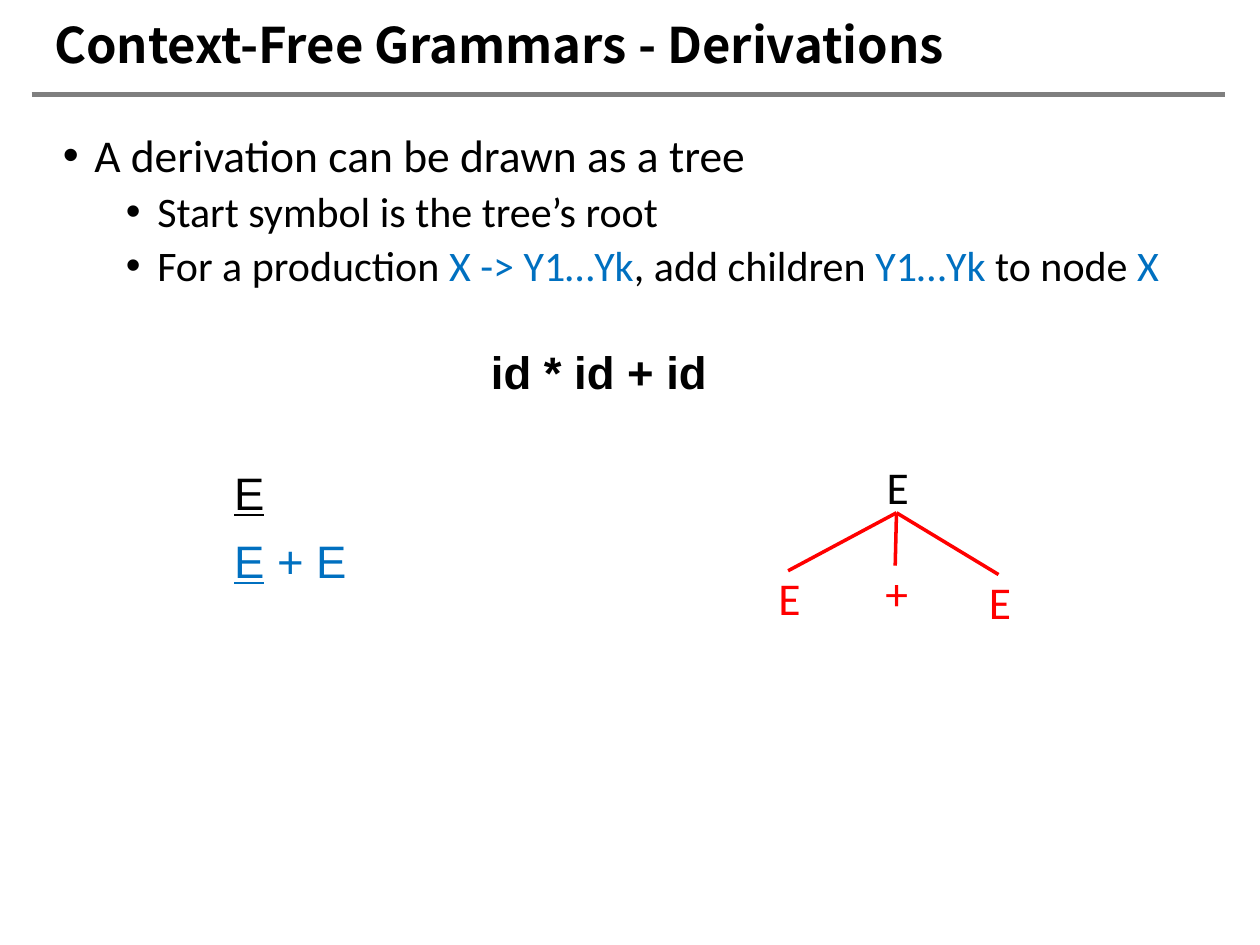
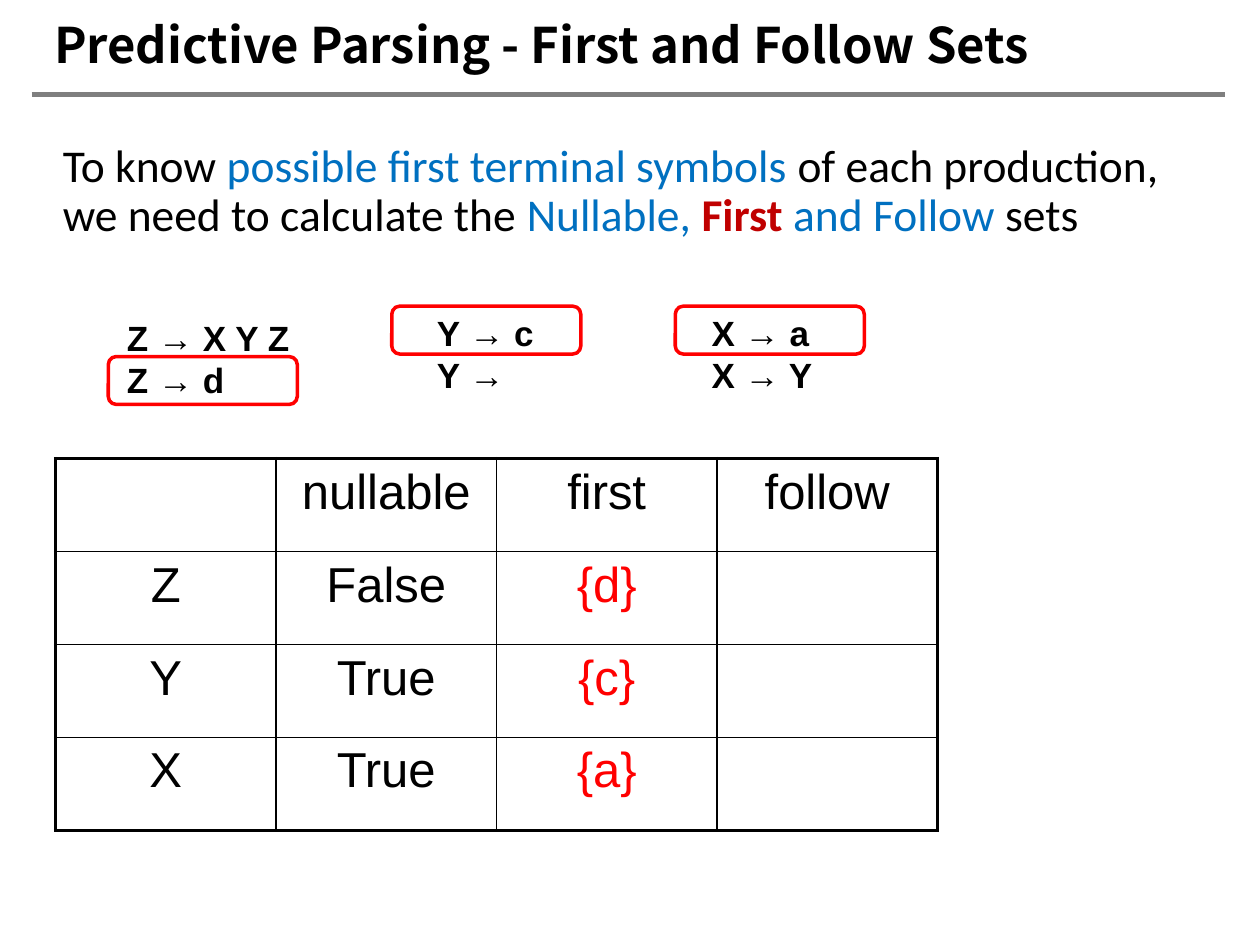
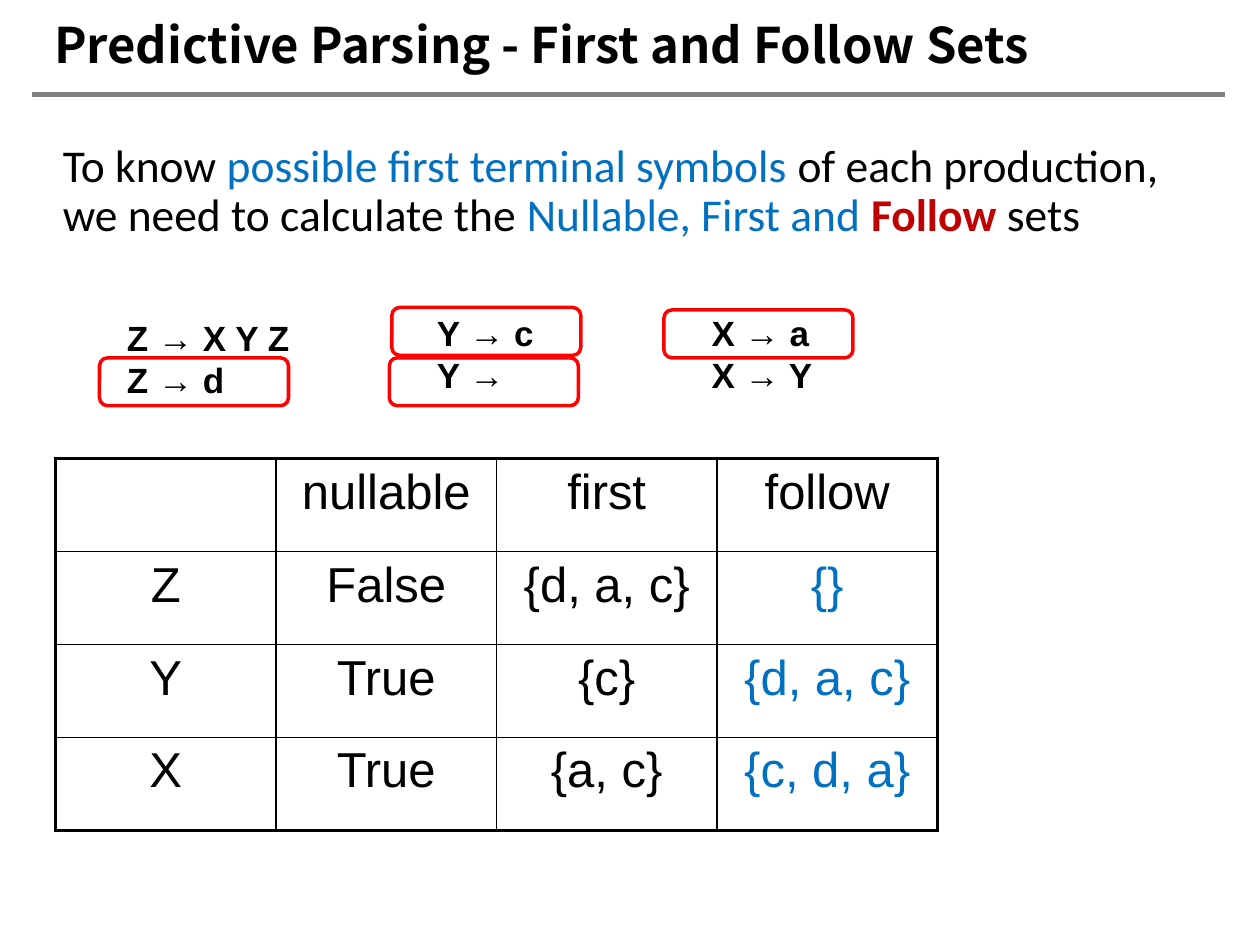
from dataclasses import dataclass

from lxml import etree
from pptx import Presentation
from pptx import util as u
from pptx.dml.color import RGBColor
from pptx.enum import shapes, text
from pptx.oxml import ns

COLS, ROWS = 100, 75


@dataclass(frozen=True)
class Theme:
    black: str = "000000"
    blue: str = "0070C0"
    red: str = "FF0000"
    dark: str = "C00000"
    gray: str = "7F7F7F"
    head: str = "Noto Sans CJK SC"
    body: str = "Calibri"
    mono: str = "Arial"
    big: int = 28
    main: int = 26
    sub: int = 24
    small: int = 20


T = Theme()
BLUE = {"hue": T.blue}


def child(node, tag, **attrs):
    return etree.SubElement(node, ns.qn(tag), attrs)


def style(font, face=T.body, size=T.main, hue=T.black, bold=False, line=False):
    font.name, font.size, font.bold = face, u.Pt(size), bold
    font.underline = line
    font.color.rgb = RGBColor.from_string(hue)


def write(frame, paras, align="LEFT", lead=None, **fmt):
    """Fill a frame; each paragraph is a string or a list of strings and (words, format) runs."""
    for i, runs in enumerate(paras):
        para = frame.paragraphs[0] if i == 0 else frame.add_paragraph()
        para.alignment = text.PP_ALIGN[align]
        if lead:
            para.line_spacing = lead
        for run in [runs] if isinstance(runs, str) else runs:
            words, extra = (run, {}) if isinstance(run, str) else run
            part = para.add_run()
            part.text = words
            style(part.font, **{**fmt, **extra})


def bullet(para, level, before=0):
    left = 0.25 + 0.5 * level
    para.level = level
    props = para._p.get_or_add_pPr()
    props.set("marL", str(u.Inches(left)))
    props.set("indent", str(u.Inches(-0.25)))
    child(props, "a:buFont", typeface="Arial")
    child(props, "a:buChar", char="•")
    if before:
        para.space_before = u.Pt(before)


def border(cell, sides):
    props = cell._tc.get_or_add_tcPr()
    for side in "LRTB":
        width = u.Pt(2.25 if side in sides else 1)
        edge = child(props, "a:ln" + side, w=str(width))
        fill = child(edge, "a:solidFill")
        child(fill, "a:srgbClr", val=T.black)
    cell.fill.background()


class Deck:
    """Holds the file and the current slide; lengths are grid columns and rows."""

    def __init__(self):
        self.file = Presentation()
        self.file.slide_width, self.file.slide_height = u.Inches(10), u.Inches(7.5)
        self.slide = None

    def x(self, cols):
        return int(self.file.slide_width * cols / COLS)

    def y(self, rows):
        return int(self.file.slide_height * rows / ROWS)

    def area(self, left, top, wide, tall):
        return self.x(left), self.y(top), self.x(wide), self.y(tall)

    def page(self, words, wide, tall):
        self.slide = self.file.slides.add_slide(self.file.slide_layouts[5])
        ends = self.x(2.5), self.y(7.5), self.x(97.2), self.y(7.5)
        self.line(ends, T.gray, 3)
        head = self.slide.shapes.title
        head.left, head.top, head.width, head.height = self.area(4.3, 1.7, wide, tall)
        frame = head.text_frame
        frame.margin_left = frame.margin_right = 0
        frame.margin_top = frame.margin_bottom = 0
        frame.vertical_anchor = text.MSO_ANCHOR.TOP
        frame.auto_size = text.MSO_AUTO_SIZE.NONE
        write(frame, [words], lead=0.9, face=T.head, size=T.big, bold=True)

    def line(self, ends, hue=T.red, width=2):
        link = self.slide.shapes.add_connector(shapes.MSO_CONNECTOR.STRAIGHT, *ends)
        link.line.color.rgb = RGBColor.from_string(hue)
        link.line.width = u.Pt(width)
        child(link._element.spPr, "a:effectLst")
        return link

    def link(self, top, low):
        join = self.line((0, 0, 0, 0))
        join.begin_connect(top, 2)
        join.end_connect(low, 0)

    def text(self, spot, paras, wrap=True, **fmt):
        frame = self.slide.shapes.add_textbox(*self.area(*spot)).text_frame
        frame.word_wrap = wrap
        write(frame, paras, **fmt)
        return frame

    def round(self, left, top, wide, tall):
        kind = shapes.MSO_SHAPE.ROUNDED_RECTANGLE
        box = self.slide.shapes.add_shape(kind, *self.area(left, top, wide, tall))
        box.shadow.inherit = False
        box.fill.background()
        return box

    def node(self, left, top, words, hue=T.red):
        box = self.round(left, top, 3.9, 4.2)
        box.line.fill.background()
        box.text_frame.vertical_anchor = text.MSO_ANCHOR.MIDDLE
        write(box.text_frame, [words], align="CENTER", hue=hue)
        return box

    def mark(self, left, top):
        box = self.round(left, top, 15, 3.8)
        box.line.color.rgb = RGBColor.from_string(T.red)
        box.line.width = u.Pt(2)

    def table(self, spot, rows, hues):
        """Draw a ruled table; hues gives the colour of a column below its head."""
        high, wide = len(rows), len(rows[0])
        grid = self.slide.shapes.add_table(high, wide, *self.area(*spot)).table
        grid.first_row = grid.horz_banding = False
        for r, row in enumerate(rows):
            for c, words in enumerate(row):
                cell = grid.cell(r, c)
                rims = {"L": c == 0, "R": c == wide - 1, "T": r == 0, "B": r == high - 1}
                border(cell, [side for side, rim in rims.items() if rim])
                if words:
                    hue = hues.get(c, T.black) if r else T.black
                    write(cell.text_frame, [words], align="CENTER",
                          face=T.mono, size=T.big, hue=hue)


def tree(deck):
    deck.page("Context-Free Grammars - Derivations", 82.4, 9.4)
    sub = {"size": T.sub}
    blue = {**BLUE, **sub}
    points = deck.text((4, 10.1, 92.4, 56.6), [
        "A derivation can be drawn as a tree",
        [("Start symbol is the tree’s root", sub)],
        [("For a production ", sub), ("X -> Y1…Yk", blue), (", add children ", sub),
         ("Y1…Yk ", blue), ("to node ", sub), ("X", blue)],
    ], lead=0.9)
    for i, para in enumerate(points.paragraphs):
        bullet(para, min(i, 1), 5 if i else 0)
    deck.text((17.6, 35.3, 18, 11.5), [
        [("E", {"line": True})],
        [("E", {"line": True, **BLUE}), (" + E", BLUE)],
    ], lead=1.25, face=T.mono)
    root = deck.node(69.2, 36.5, "E", T.black)
    for left, top, words in [(60.6, 45.3, "E"), (77.3, 45.6, "E"), (69.1, 44.9, "+")]:
        deck.link(root, deck.node(left, top, words))
    deck.text((9.5, 26.8, 76.1, 5.4), ["id * id + id"], align="CENTER",
              face=T.mono, bold=True)


def sets(deck, names, marks, rows, hues):
    deck.page("Predictive Parsing - First and Follow Sets", 84.2, 4.7)
    deck.text((4, 10.9, 92.4, 56.6), [[
        "To know ", ("possible first terminal symbols ", BLUE),
        "of each production, we need to calculate the ", *names, "sets",
    ]], lead=0.9)
    rules = [
        (9.1, 24.6, 15, ["Z → X Y Z", "Z → d"]),
        (33.7, 24.2, 9.7, ["Y → c", "Y →"]),
        (55.5, 24.2, 10.7, ["X → a", "X → Y"]),
    ]
    for left, top, wide, lines in rules:
        deck.text((left, top, wide, 7.7), lines, wrap=False,
                  face=T.mono, size=T.small, bold=True)
    deck.table((4.4, 36.4, 70, 29.5), [["", "nullable", "first", "follow"], *rows], hues)
    for spot in marks:
        deck.mark(*spot)


def main():
    deck = Deck()
    strong = {"hue": T.dark, "bold": True}
    tree(deck)
    sets(deck,
         [("Nullable, ", BLUE), ("First ", strong), ("and Follow ", BLUE)],
         [(31.1, 24.3), (8.6, 28.3), (53.6, 24.3)],
         [["Z", "False", "{d}", ""], ["Y", "True", "{c}", ""], ["X", "True", "{a}", ""]],
         {2: T.red})
    sets(deck,
         [("Nullable, First and ", BLUE), ("Follow ", strong)],
         [(31.1, 24.4), (52.7, 24.6), (7.9, 28.4), (30.9, 28.4)],
         [["Z", "False", "{d, a, c}", "{}"], ["Y", "True", "{c}", "{d, a, c}"],
          ["X", "True", "{a, c}", "{c, d, a}"]],
         {3: T.blue})
    deck.file.save("out.pptx")


if __name__ == "__main__":
    main()
